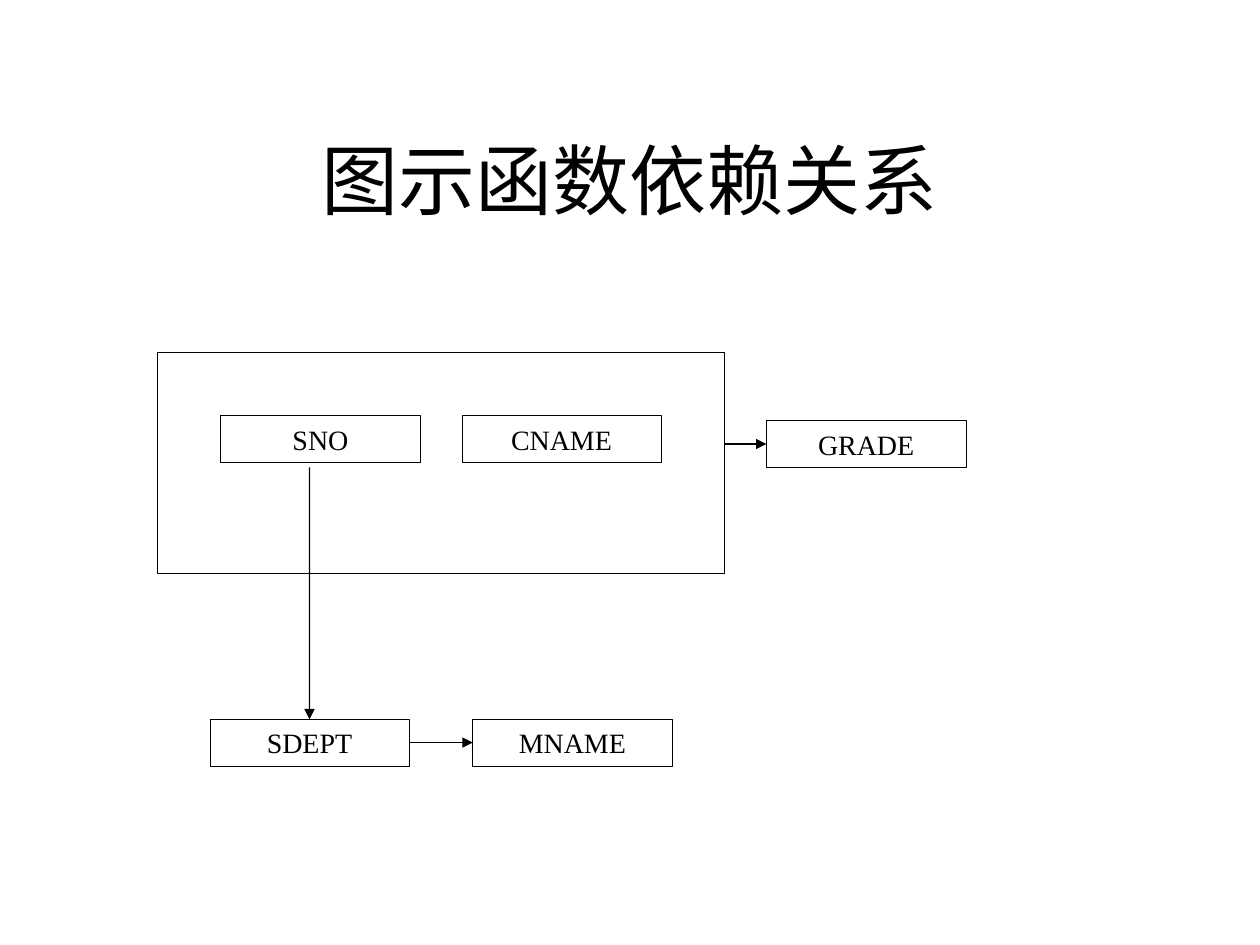
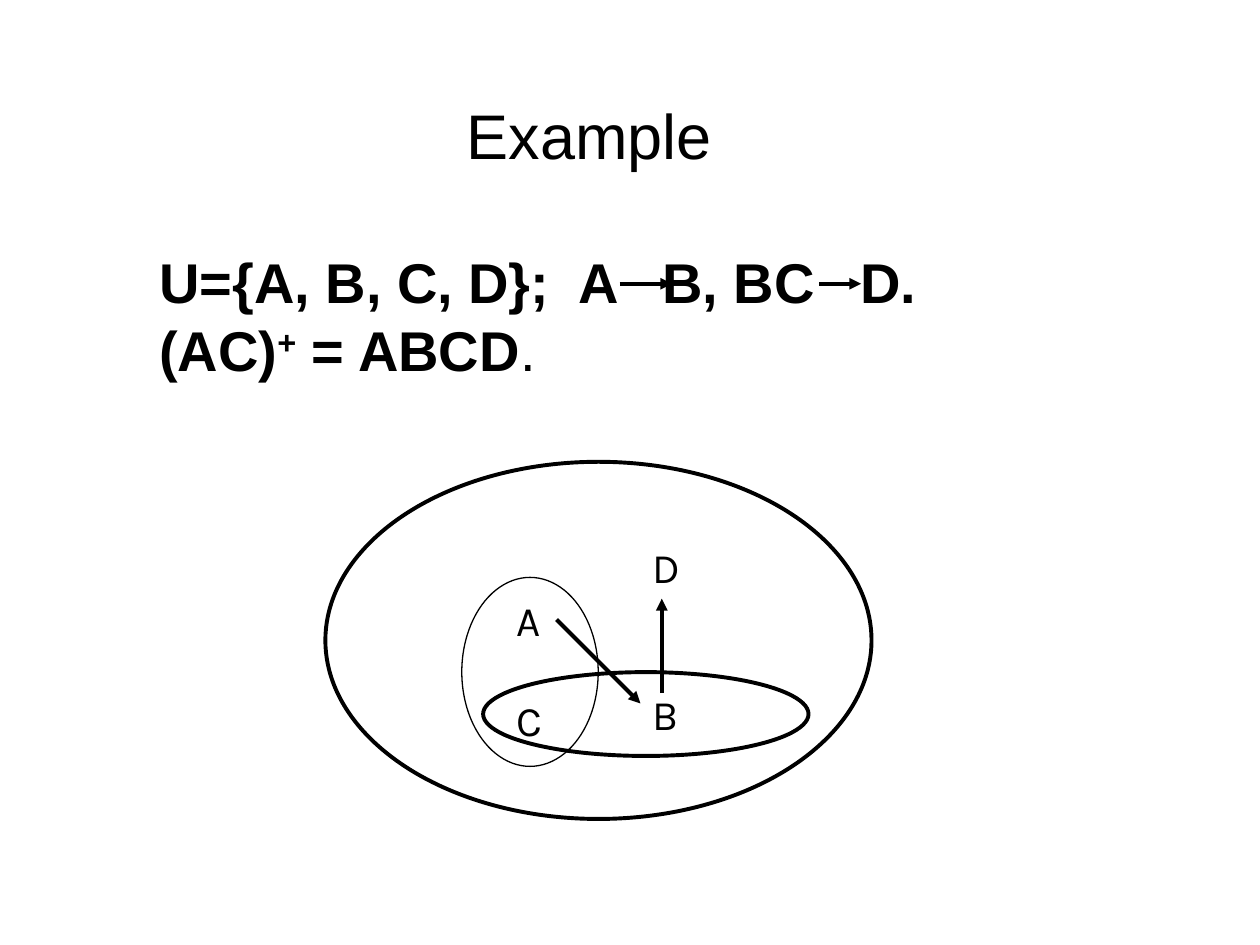
from dataclasses import dataclass
from typing import NamedTuple

from lxml import etree
from pptx import Presentation
from pptx.dml.color import RGBColor
from pptx.enum.shapes import MSO_CONNECTOR, MSO_SHAPE
from pptx.enum.text import MSO_ANCHOR, PP_ALIGN
from pptx.oxml.ns import qn
from pptx.util import Cm, Pt

RECT, OVAL = MSO_SHAPE.RECTANGLE, MSO_SHAPE.OVAL
STRAIGHT = MSO_CONNECTOR.STRAIGHT
LEFT, CENTER = PP_ALIGN.LEFT, PP_ALIGN.CENTER
TOP, MIDDLE, BOTTOM = MSO_ANCHOR.TOP, MSO_ANCHOR.MIDDLE, MSO_ANCHOR.BOTTOM
TOP_SIDE, LEFT_SIDE, RIGHT_SIDE = 0, 1, 3


@dataclass(frozen=True)
class Theme:
    ink: RGBColor = RGBColor(0, 0, 0)
    paper: RGBColor = RGBColor(255, 255, 255)
    serif: str = "Times New Roman"
    sans: str = "Arial"
    label: str = "Karla"
    hair: float = 0.25
    thin: float = 0.75
    thick: float = 2.25
    box: int = 16
    letter: int = 24
    body: int = 32
    head: int = 36
    title: int = 44


THEME = Theme()


class Area(NamedTuple):
    """Left, top, width and height in centimetres."""
    x: float
    y: float
    w: float
    h: float

    def emu(self):
        return [Cm(v) for v in self]


class Style(NamedTuple):
    font: str
    size: int
    align: PP_ALIGN = LEFT
    anchor: MSO_ANCHOR = TOP


class Part(NamedTuple):
    text: str
    bold: bool = False
    raised: bool = False


class Ring(NamedTuple):
    area: Area
    weight: float


class Arrow(NamedTuple):
    """End points in centimetres."""
    x1: float
    y1: float
    x2: float
    y2: float


def write(para, part: Part, style: Style) -> None:
    run = para.add_run()
    run.text = part.text
    font = run.font
    font.name, font.size, font.bold = style.font, Pt(style.size), part.bold
    font.color.rgb = THEME.ink
    if part.raised:
        run._r.get_or_add_rPr().set("baseline", "30000")


def fill_text(shape, lines: list[list[Part]], style: Style, gap: float = 0):
    """Write the lines into the shape, with gap points between them."""
    frame = shape.text_frame
    frame.word_wrap = True
    frame.vertical_anchor = style.anchor
    for i, parts in enumerate(lines):
        para = frame.add_paragraph() if i else frame.paragraphs[0]
        para.alignment = style.align
        if i and gap:
            para.space_before = Pt(gap)
        for part in parts:
            write(para, part, style)
    return frame


def add_text(slide, area: Area, lines: list[list[Part]], style: Style,
             gap: float = 0):
    return fill_text(slide.shapes.add_textbox(*area.emu()), lines, style, gap)


def add_title(slide, area: Area, text: str, style: Style) -> None:
    add_text(slide, area, [[Part(text)]], style)


def add_form(slide, kind, area: Area, weight: float, solid: bool = False):
    form = slide.shapes.add_shape(kind, *area.emu())
    form.shadow.inherit = False
    if solid:
        form.fill.solid()
        form.fill.fore_color.rgb = THEME.paper
    else:
        form.fill.background()
    form.line.color.rgb = THEME.ink
    form.line.width = Pt(weight)
    return form


def add_arrow(slide, arrow: Arrow, weight: float):
    line = slide.shapes.add_connector(STRAIGHT, *[Cm(v) for v in arrow])
    line.line.color.rgb = THEME.ink
    line.line.width = Pt(weight)
    etree.SubElement(line.line._get_or_add_ln(), qn("a:tailEnd"),
                     type="triangle")
    etree.SubElement(line._element.spPr, qn("a:effectLst"))
    return line


def set_tabs(para, stops: list[float]) -> None:
    tabs = etree.SubElement(para._p.get_or_add_pPr(), qn("a:tabLst"))
    for stop in stops:
        etree.SubElement(tabs, qn("a:tab"), pos=str(Cm(stop)), algn="l")


def draw_graph(slide) -> None:
    """Boxes for the attributes, arrows for what depends on them."""
    wide, high = 4.02, 0.94
    spots = {
        "SNO": (4.45, 8.38), "CNAME": (9.31, 8.38), "GRADE": (15.45, 8.48),
        "SDEPT": (4.23, 14.5), "MNAME": (9.53, 14.5),
    }
    key = Area(3.18, 7.11, 11.43, 4.45)
    add_form(slide, RECT, key, THEME.thin, solid=True)

    style = Style(THEME.serif, THEME.box, CENTER, MIDDLE)
    boxes = {}
    for name, (x, y) in spots.items():
        boxes[name] = add_form(slide, RECT, Area(x, y, wide, high), THEME.hair)
        fill_text(boxes[name], [[Part(name)]], style)

    dept_x, dept_y = spots["SDEPT"]
    mid = dept_x + wide / 2
    down = add_arrow(slide, Arrow(mid, 9.42, mid, dept_y), THEME.thin)
    down.end_connect(boxes["SDEPT"], TOP_SIDE)

    grade_x, grade_y = spots["GRADE"]
    row = grade_y + high / 2
    out = add_arrow(slide, Arrow(key.x + key.w, row, grade_x, row), THEME.thin)
    out.end_connect(boxes["GRADE"], LEFT_SIDE)

    row = dept_y + high / 2
    across = add_arrow(
        slide, Arrow(dept_x + wide, row, spots["MNAME"][0], row), THEME.thin)
    across.begin_connect(boxes["SDEPT"], RIGHT_SIDE)
    across.end_connect(boxes["MNAME"], LEFT_SIDE)

    add_title(slide, Area(1.91, 2.54, 21.59, 2.12), "图示函数依赖关系",
              Style(THEME.serif, THEME.title, CENTER, MIDDLE))


def draw_sets(slide) -> None:
    """The closure of AC, as a formula and as nested sets."""
    add_title(slide, Area(1.06, 1.27, 21.64, 2.33), "Example",
              Style(THEME.sans, THEME.head, CENTER, BOTTOM))

    rings = [
        Ring(Area(6.56, 9.31, 11.01, 7.2), THEME.thick),
        Ring(Area(9.31, 11.64, 2.75, 3.81), THEME.thin),
        Ring(Area(9.74, 13.55, 6.56, 1.69), THEME.thick),
    ]
    for ring in rings:
        add_form(slide, OVAL, ring.area, ring.weight)

    style = Style(THEME.label, THEME.letter)
    add_text(slide, Area(10.16, 11.85, 1.06, 3.3),
             [[Part("A")], [Part("C")]], style, gap=28.8)
    for name, y in (("D", 10.8), ("B", 13.76)):
        add_text(slide, Area(12.91, y, 1.1, 1.27), [[Part(name)]], style)

    rules = [
        [Part("U={A, B, C, D};\tA\tB, BC\tD.", bold=True)],
        [Part("(AC)", bold=True), Part("+", bold=True, raised=True),
         Part(" = ABCD", bold=True), Part(".")],
    ]
    frame = add_text(slide, Area(2.96, 4.87, 21.17, 2.96), rules,
                     Style(THEME.sans, THEME.body, LEFT, MIDDLE))
    set_tabs(frame.paragraphs[0], [8.45, 10.14, 14.13])

    arrows = [
        Arrow(11.22, 12.49, 12.91, 14.18),
        Arrow(13.34, 13.97, 13.34, 12.07),
        Arrow(12.49, 5.72, 13.55, 5.72),
        Arrow(16.51, 5.72, 17.36, 5.72),
    ]
    for arrow in arrows:
        add_arrow(slide, arrow, THEME.thick)


def main() -> None:
    deck = Presentation()
    deck.slide_width, deck.slide_height = Cm(25.4), Cm(19.05)
    blank = deck.slide_layouts[6]
    for draw in (draw_graph, draw_sets):
        draw(deck.slides.add_slide(blank))
    deck.save("out.pptx")


if __name__ == "__main__":
    main()
